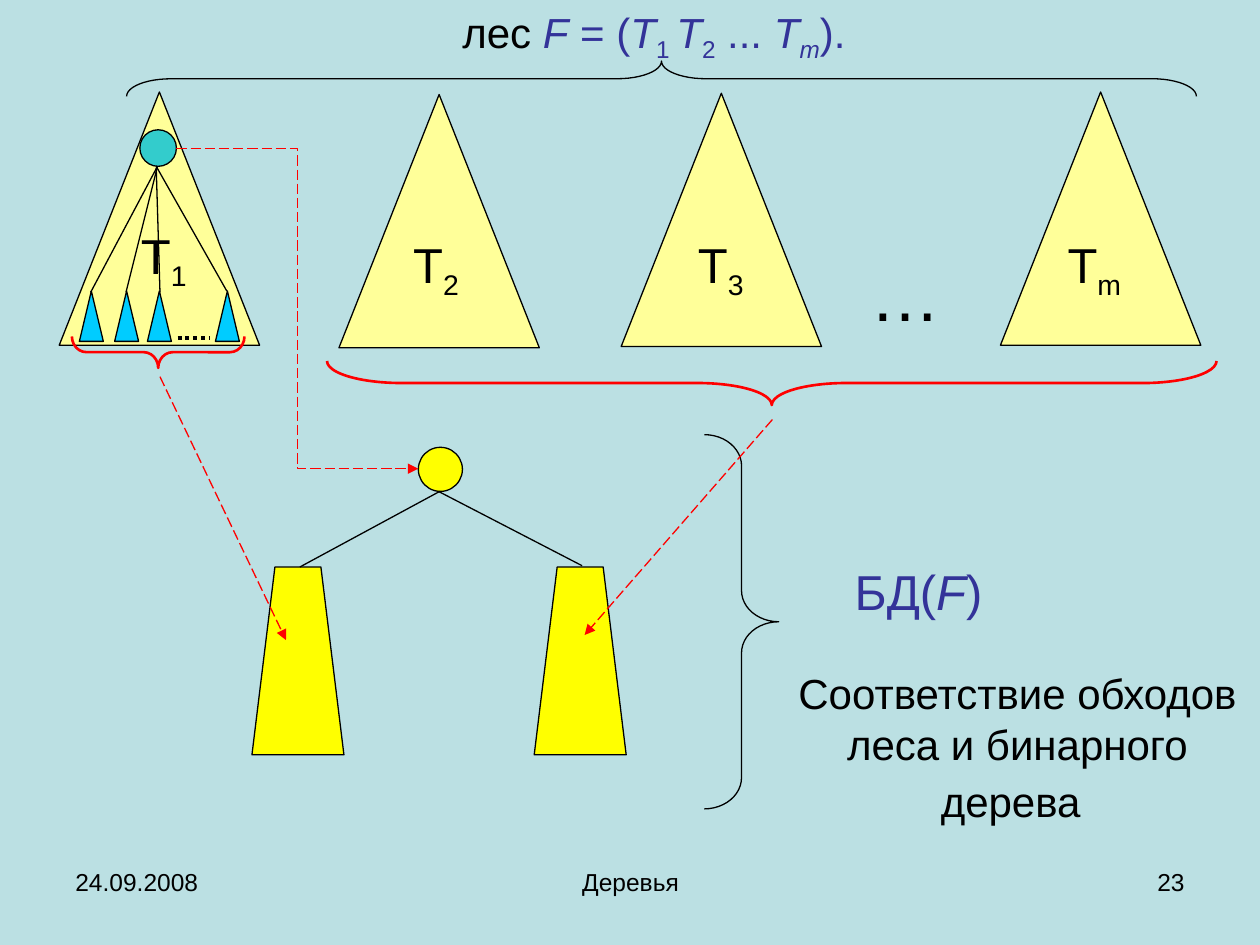
"""Slide showing how a forest maps to its binary tree."""
import pptx
import pptx.util
import pptx.dml.color
import pptx.enum.dml
import pptx.enum.shapes
import pptx.enum.text
from lxml import etree

Inches = pptx.util.Inches
Pt = pptx.util.Pt
RGBColor = pptx.dml.color.RGBColor
SHAPE = pptx.enum.shapes.MSO_SHAPE
CONNECTOR = pptx.enum.shapes.MSO_CONNECTOR
DASH = pptx.enum.dml.MSO_LINE
ALIGN = pptx.enum.text.PP_ALIGN

BACKGROUND = RGBColor(0xBB, 0xE0, 0xE3)
BLACK = RGBColor(0, 0, 0)
RED = RGBColor(0xFF, 0, 0)
INDIGO = RGBColor(0x33, 0x33, 0x99)
CREAM = RGBColor(0xFF, 0xFF, 0x99)
TEAL = RGBColor(0x33, 0xCC, 0xCC)
SKY = RGBColor(0x00, 0xCC, 0xFF)
YELLOW = RGBColor(0xFF, 0xFF, 0)
DRAWING_NS = "{http://schemas.openxmlformats.org/drawingml/2006/main}"

prs = pptx.Presentation()
prs.slide_width, prs.slide_height = Inches(10), Inches(7.5)
slide = prs.slides.add_slide(prs.slide_layouts[6])
slide.background.fill.solid()
slide.background.fill.fore_color.rgb = BACKGROUND


def add_figure(kind, at, fill=None, line=BLACK, width=0.75, rotation=0, adjust=None):
    figure = slide.shapes.add_shape(kind, *map(Inches, at))
    figure.shadow.inherit = False
    if fill is None:
        figure.fill.background()
    else:
        figure.fill.solid()
        figure.fill.fore_color.rgb = fill
    figure.line.color.rgb = line
    figure.line.width = Pt(width)
    figure.rotation = rotation
    if adjust is not None:
        figure.adjustments[0] = adjust


def add_text(at, size, runs, color=BLACK, align=ALIGN.CENTER):
    frame = slide.shapes.add_textbox(*map(Inches, at)).text_frame
    frame.word_wrap = True
    paragraph = frame.paragraphs[0]
    paragraph.alignment = align
    paragraph.font.name = "Arial"
    paragraph.font.size = Pt(size)
    paragraph.font.color.rgb = color
    for text, style in runs:
        run = paragraph.add_run()
        run.text = text
        if "italic" in style:
            run.font.italic = True
        if "sub" in style:
            run._r.get_or_add_rPr().set("baseline", "-25000")
        if "black" in style:
            run.font.color.rgb = BLACK
        if "large" in style:
            run.font.size = Pt(28)


for left, top in [(0.47, 0.73), (2.69, 0.75), (4.93, 0.74), (7.94, 0.73)]:
    add_figure(SHAPE.ISOSCELES_TRIANGLE, (left, top, 1.59, 2.01), CREAM)
add_text((6.63, 1.95, 1.12, 0.77), 40, [("…", "")])
for left, top, width, index in [(0.98, 1.74, 0.64, "1"), (3.14, 1.81, 0.64, "2"),
                                (5.4, 1.81, 0.64, "3"), (8.3, 1.81, 0.77, "m")]:
    add_text((left, top, width, 0.63), 28, [("Т", ""), (index, "sub")])

add_figure(SHAPE.OVAL, (1.11, 1.03, 0.29, 0.29), TEAL)
for left in (0.63, 0.91, 1.17, 1.71):
    add_figure(SHAPE.ISOSCELES_TRIANGLE, (left, 2.31, 0.19, 0.4), SKY)

add_figure(SHAPE.RIGHT_BRACE, (1.13, 2.11, 0.25, 1.37), None, RED, 1.5, 90, 0.46)
add_figure(SHAPE.RIGHT_BRACE, (5.95, -0.49, 0.35, 7.06), None, RED, 1.5, 90, 1.68)
add_figure(SHAPE.LEFT_BRACE, (5.11, -3.62, 0.28, 8.49), rotation=90, adjust=1.26)
add_figure(SHAPE.RIGHT_BRACE, (5.59, 3.45, 0.59, 2.97), adjust=0.42)

for left in (2, 4.24):
    add_figure(SHAPE.TRAPEZOID, (left, 4.5, 0.73, 1.49), YELLOW, adjust=0.25)
add_figure(SHAPE.OVAL, (3.32, 3.55, 0.35, 0.35), YELLOW)

branches = [
    (1.25, 1.32, 0.72, 2.32),
    (1.25, 1.32, 1, 2.32),
    (1.24, 1.33, 1.27, 2.32),
    (1.24, 1.32, 1.8, 2.31),
    (3.49, 3.9, 2.38, 4.5),
    (3.48, 3.9, 4.62, 4.49),
]
links = [(CONNECTOR.STRAIGHT, ends, BLACK, 0.75, None) for ends in branches]
links += [
    (CONNECTOR.STRAIGHT, (1.41, 2.68, 1.67, 2.68), BLACK, 2.25, DASH.ROUND_DOT),
    (CONNECTOR.ELBOW, (1.4, 1.18, 3.32, 3.72), RED, 0.75, DASH.LONG_DASH),
    (CONNECTOR.STRAIGHT, (1.27, 2.99, 2.27, 5.08), RED, 0.75, DASH.LONG_DASH),
    (CONNECTOR.STRAIGHT, (6.13, 3.33, 4.64, 5.04), RED, 0.75, DASH.LONG_DASH),
]
for kind, ends, color, width, dash in links:
    link = slide.shapes.add_connector(kind, *map(Inches, ends))
    link.line.color.rgb = color
    link.line.width = Pt(width)
    if dash is not None:
        link.line.dash_style = dash
    if color == RED:
        etree.SubElement(link.line._get_or_add_ln(), DRAWING_NS + "tailEnd", type="triangle")
    etree.SubElement(link._element.spPr, DRAWING_NS + "effectLst")

add_text((2.78, 0, 4.82, 0.56), 24, [
    ("лес ", "black"), ("F", "italic"), (" = (", ""),
    ("Т", "italic"), ("1 ", "sub"), ("Т", "italic"), ("2", "sub"), (" ... ", ""),
    ("Т", "italic"), ("m", "italic sub"), (").", ""),
], INDIGO)
add_text((6.27, 4.41, 2.04, 0.57), 28, [("БД(", ""), ("F", "italic"), (")", "")], INDIGO)
add_text((6.15, 5.25, 3.85, 1.37), 24,
         [("Соответствие обходов леса и бинарного дерева", ""), (" ", "large")])

for left, width, text, align in [(0.5, 2.33, "24.09.2008", ALIGN.LEFT),
                                 (3.42, 3.17, "Деревья", ALIGN.CENTER),
                                 (7.17, 2.33, "23", ALIGN.RIGHT)]:
    add_text((left, 6.83, width, 0.52), 14, [(text, "")], align=align)

prs.save("out.pptx")
